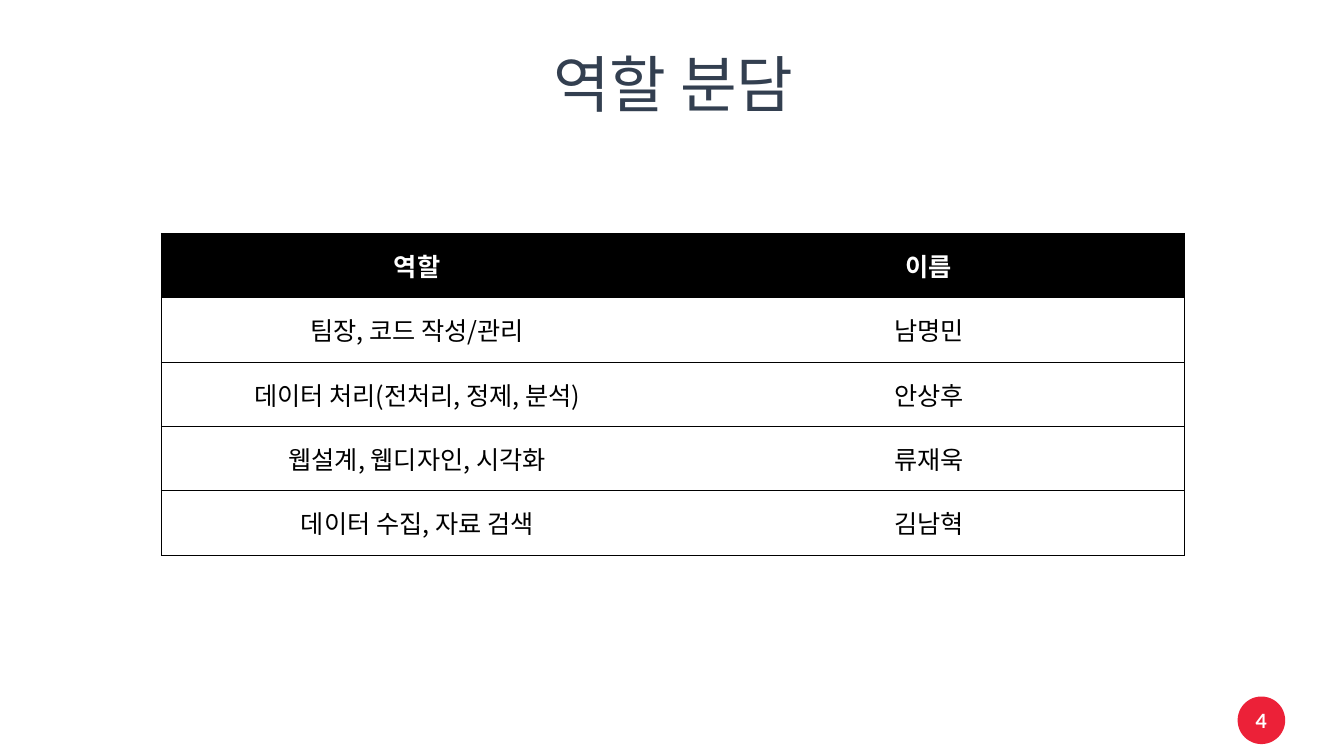
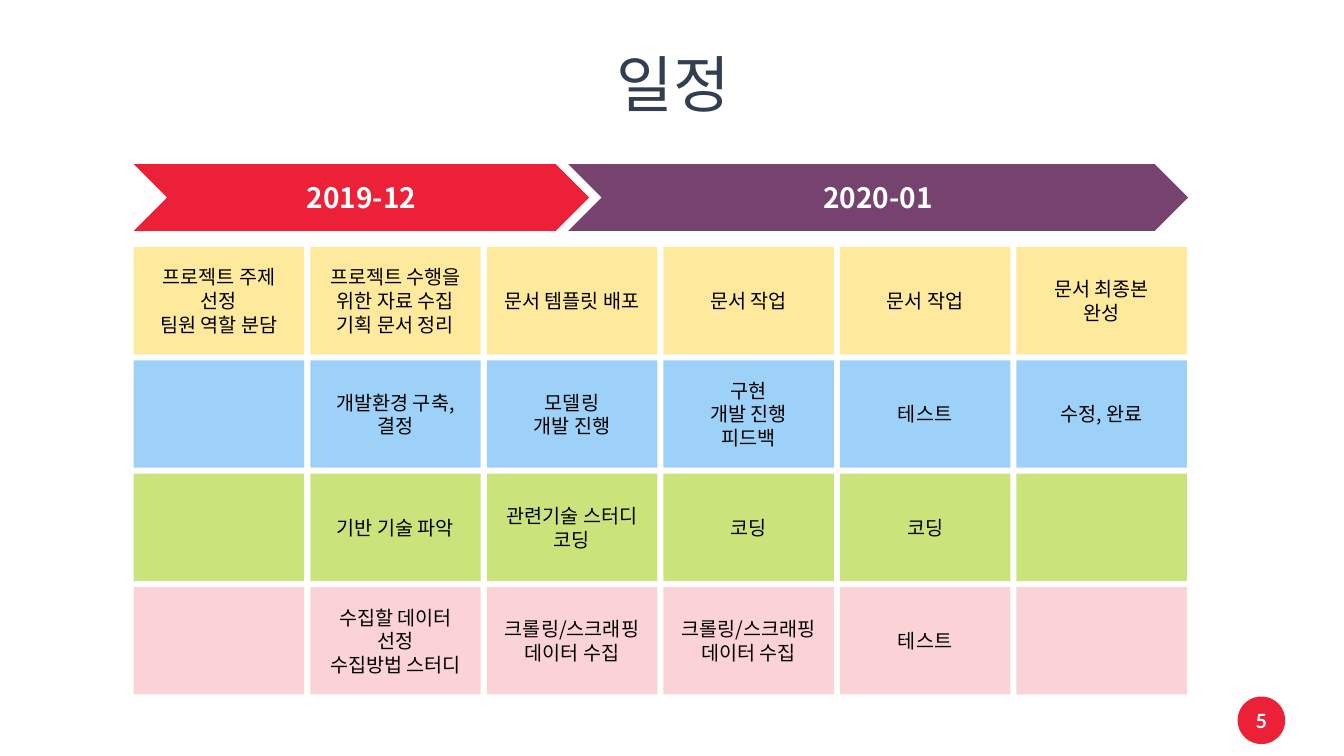
from dataclasses import dataclass

from lxml.etree import SubElement
from pptx import Presentation
from pptx.dml.color import RGBColor
from pptx.enum.shapes import MSO_SHAPE as Preset
from pptx.enum.text import MSO_ANCHOR as Anchor, PP_ALIGN as Align
from pptx.oxml.ns import qn
from pptx.util import Pt


@dataclass(frozen=True)
class Theme:
    # Fonts
    font: str = "Noto Sans CJK KR"
    number_font: str = "Lato"
    # Colours
    title: str = "333F50"
    black: str = "000000"
    white: str = "FFFFFF"
    red: str = "EC2138"
    purple: str = "75436E"
    yellow: str = "FFE99D"
    blue: str = "9DD1F8"
    green: str = "CAE47B"
    pink: str = "FBD3D7"
    # Type sizes
    title_size: int = 44
    month_size: int = 20
    table_size: int = 18
    small_size: int = 14


THEME = Theme()

ROLES = [
    ("역할", "이름"),
    ("팀장, 코드 작성/관리", "남명민"),
    ("데이터 처리(전처리, 정제, 분석)", "안상후"),
    ("웹설계, 웹디자인, 시각화", "류재욱"),
    ("데이터 수집, 자료 검색", "김남혁"),
]

# Months: label, left, width, colour
MONTHS = [
    ("2019-12", 95.5, 325.4, THEME.red),
    ("2020-01", 405.8, 442.8, THEME.purple),
]

# One row of tasks for each colour; a line break starts a new paragraph
TASKS = [
    (THEME.yellow, ["프로젝트 주제 선정\n팀원 역할 분담",
                    "프로젝트 수행을 위한 자료 수집\n기획 문서 정리",
                    "문서 템플릿 배포", "문서 작업", "문서 작업", "문서 최종본\n완성"]),
    (THEME.blue, ["", "개발환경 구축,결정", "모델링\n개발 진행",
                  "구현\n개발 진행\n피드백", "테스트", "수정, 완료"]),
    (THEME.green, ["", "기반 기술 파악", "관련기술 스터디\n코딩", "코딩", "코딩", ""]),
    (THEME.pink, ["", "수집할 데이터 선정\n수집방법 스터디",
                  "크롤링/스크래핑\n데이터 수집", "크롤링/스크래핑\n데이터 수집",
                  "테스트", ""]),
]


def rgb(colour):
    return RGBColor.from_string(colour)


def write(frame, text, size, colour, bold=False, font=THEME.font, spacing=None):
    """Fill a text frame with centred paragraphs."""
    for index, line in enumerate(text.split("\n")):
        paragraph = frame.add_paragraph() if index else frame.paragraphs[0]
        paragraph.alignment = Align.CENTER
        if spacing:
            paragraph.line_spacing = spacing
        run = paragraph.add_run()
        run.text = line
        run.font.size, run.font.bold, run.font.name = Pt(size), bold, font
        run.font.color.rgb = rgb(colour)
        # Korean glyphs take the East Asian typeface
        SubElement(run._r.get_or_add_rPr(), qn("a:ea")).set("typeface", font)


def add_block(slide, preset, left, top, width, height, colour):
    """Add a filled shape and return its middle-anchored text frame."""
    block = slide.shapes.add_shape(preset, Pt(left), Pt(top), Pt(width), Pt(height))
    block.shadow.inherit = False
    block.fill.solid()
    block.fill.fore_color.rgb = rgb(colour)
    block.line.fill.background()
    block.text_frame.vertical_anchor = Anchor.MIDDLE
    return block.text_frame


def add_title(slide, title):
    frame = slide.shapes.add_textbox(Pt(67), Pt(26), Pt(828), Pt(72.5)).text_frame
    frame.word_wrap = True
    frame.vertical_anchor = Anchor.MIDDLE
    write(frame, title, THEME.title_size, THEME.title, spacing=0.9)


def add_badge(slide, number):
    """Round page number in the lower right corner."""
    frame = add_block(slide, Preset.OVAL, 884, 497.5, 34, 34, THEME.red)
    frame.margin_left = frame.margin_right = 0
    frame.margin_top = frame.margin_bottom = 0
    frame.word_wrap = False
    write(frame, str(number), THEME.small_size, THEME.white, True, THEME.number_font)


def add_page(deck, title, number):
    slide = deck.slides.add_slide(deck.slide_layouts[6])
    add_badge(slide, number)
    add_title(slide, title)
    return slide


def set_borders(cell, visible):
    """Draw the named sides in thin black and hide the others."""
    properties = cell._tc.get_or_add_tcPr()
    for side in "LRTB":
        border = SubElement(properties, qn(f"a:ln{side}"), w=str(Pt(0.5)))
        if side in visible:
            fill = SubElement(border, qn("a:solidFill"))
            SubElement(fill, qn("a:srgbClr"), val=THEME.black)
        else:
            SubElement(border, qn("a:noFill"))


def add_role_table(slide, left, top, column_width, row_height):
    sides = "LR"
    table = slide.shapes.add_table(
        len(ROLES), len(sides), Pt(left), Pt(top),
        Pt(column_width * len(sides)), Pt(row_height * len(ROLES))).table
    table.horz_banding = False
    for row, values in enumerate(ROLES):
        table.rows[row].height = Pt(row_height)
        header = row == 0
        for column, value in enumerate(values):
            cell = table.cell(row, column)
            # Only the outer vertical edges show
            set_borders(cell, "TB" + sides[column])
            cell.fill.solid()
            cell.fill.fore_color.rgb = rgb(THEME.black if header else THEME.white)
            cell.vertical_anchor = Anchor.MIDDLE
            write(cell.text_frame, value, THEME.table_size,
                  THEME.white if header else THEME.black, header)


def add_months(slide, top, height):
    for label, left, width, colour in MONTHS:
        frame = add_block(slide, Preset.CHEVRON, left, top, width, height, colour)
        write(frame, label, THEME.month_size, THEME.white, True)


def add_task_grid(slide, left, top, width, height, gap):
    for row, (colour, tasks) in enumerate(TASKS):
        for column, task in enumerate(tasks):
            frame = add_block(slide, Preset.RECTANGLE,
                              left + column * (width + gap),
                              top + row * (height + gap),
                              width, height, colour)
            if task:
                write(frame, task, THEME.small_size, THEME.black)


def main():
    deck = Presentation()
    deck.slide_width, deck.slide_height = Pt(960), Pt(540)

    # Who does what
    roles = add_page(deck, "역할 분담", 4)
    add_role_table(roles, left=115.2, top=166.5, column_width=365.5, row_height=46)

    # Two months of tasks
    schedule = add_page(deck, "일정", 5)
    add_months(schedule, top=117.2, height=47.8)
    add_task_grid(schedule, left=95.5, top=176.4, width=121.8, height=76.7, gap=4.3)

    deck.save("out.pptx")


if __name__ == "__main__":
    main()
